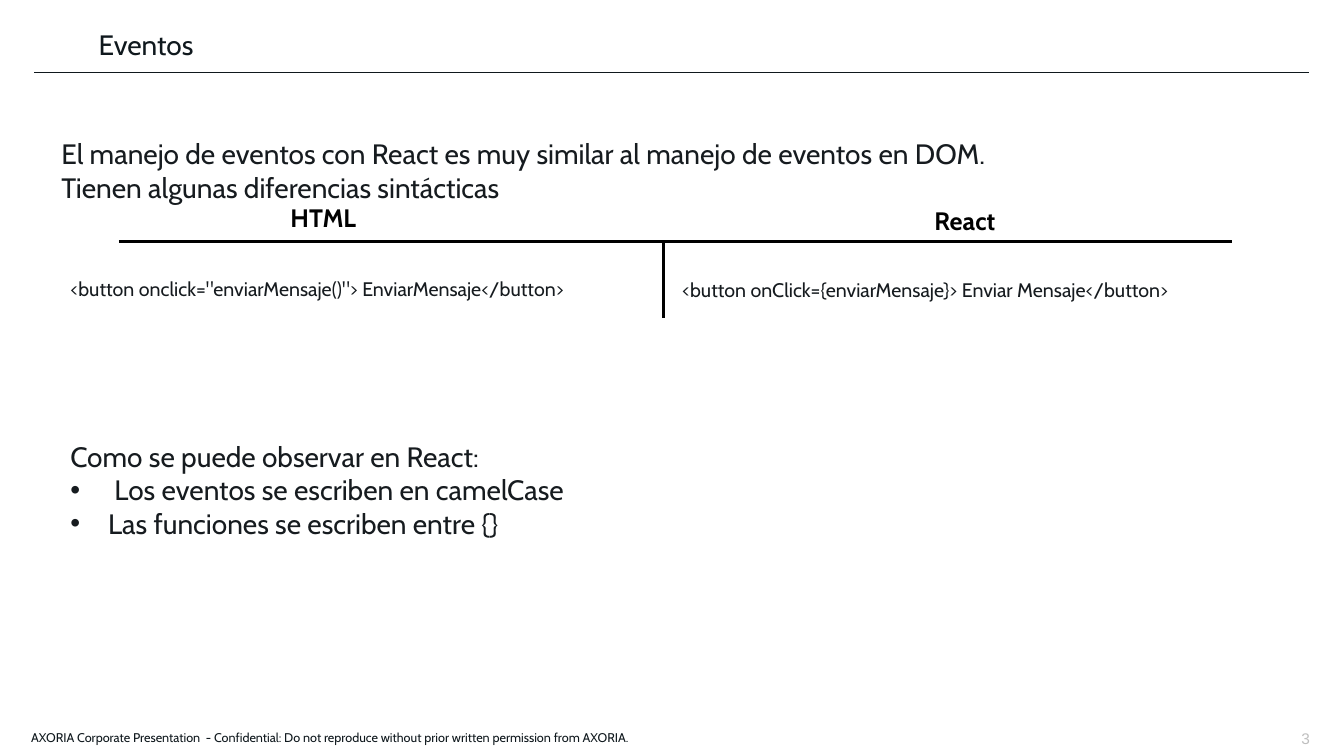
"""Build the slide on React events compared with HTML events."""
from pptx import Presentation
from pptx import util as u
from pptx.dml.color import RGBColor
from pptx.enum import shapes, text
from pptx.oxml.ns import qn
from lxml import etree

COLORS = {"navy": "0F181D", "ink": "161B1F", "black": "000000", "grey": "BFBFBF"}
MIDDLE = text.MSO_ANCHOR.MIDDLE
BODY = {"size": 20, "color": "ink"}
HEADING = {"size": 18, "color": "black", "bold": True, "inset": 4.5,
           "wrap": False, "anchor": MIDDLE}
CODE = {"size": 14, "color": "ink"}

deck = Presentation()
deck.slide_width, deck.slide_height = u.Pt(960), u.Pt(540)
page = deck.slides.add_slide(deck.slide_layouts[6])


def add_text(place, lines, size, color, font="Cabin", bold=False, inset=None,
             top=3.6, wrap=True, anchor=text.MSO_ANCHOR.TOP, align=None):
    """Add a text box; lines that start with a bullet become list items."""
    frame = page.shapes.add_textbox(*map(u.Pt, place)).text_frame
    side, vertical = (7.2, top) if inset is None else (inset, inset)
    layout = {"margin_left": u.Pt(side), "margin_right": u.Pt(side),
              "margin_top": u.Pt(vertical), "margin_bottom": u.Pt(min(vertical, 4.5)),
              "word_wrap": wrap, "vertical_anchor": anchor}
    for name, value in layout.items():
        setattr(frame, name, value)
    for index, line in enumerate(lines):
        para = frame.paragraphs[0] if index == 0 else frame.add_paragraph()
        para.alignment = align
        if line.startswith("•"):
            properties = para._p.get_or_add_pPr()
            properties.set("marL", str(u.Pt(27)))
            properties.set("indent", str(-u.Pt(27)))
            etree.SubElement(properties, qn("a:buFont"), typeface="Arial")
            etree.SubElement(properties, qn("a:buChar"), char="•")
        span = para.add_run()
        span.text = line.removeprefix("•")
        for name, value in {"name": font, "size": u.Pt(size), "bold": bold}.items():
            setattr(span.font, name, value)
        span.font.color.rgb = RGBColor.from_string(COLORS[color])


rules = [
    ((24.5, 51.8, 935.3, 51.8), "navy", 0.5),
    ((85, 172.4, 880, 172.4), "black", 2),
    ((474, 172.4, 474, 227), "black", 2),
]
for ends, color, width in rules:
    rule = page.shapes.add_connector(shapes.MSO_CONNECTOR.STRAIGHT, *map(u.Pt, ends))
    rule.line.color.rgb = RGBColor.from_string(COLORS[color])
    rule.line.width = u.Pt(width)
    etree.SubElement(rule._element.spPr, qn("a:effectLst"))

add_text((63.4, 15.8, 872, 34), ["Eventos"], size=20, color="navy")
add_text((36.7, 69.8, 776, 78.5),
         ["El manejo de eventos con React es muy similar al manejo de eventos en DOM.",
          "Tienen algunas diferencias sintácticas"], top=28, **BODY)

add_text((203, 140.4, 59, 30.2), ["HTML"], **HEADING)
add_text((663, 142.6, 54.7, 30.2), ["React"], **HEADING)
add_text((43.2, 194.4, 430.6, 24.5),
         ['<button onclick="enviarMensaje()"> EnviarMensaje</button>'], **CODE)
add_text((480.2, 195.1, 479.8, 24.5),
         ["<button onClick={enviarMensaje}> Enviar Mensaje</button>"], **CODE)

add_text((43.2, 285.8, 811.4, 78.5),
         ["Como se puede observar en React:",
          "• Los eventos se escriben en camelCase",
          "•Las funciones se escriben entre {}"], top=28, **BODY)

add_text((20.2, 519.1, 570.2, 15.1),
         ["AXORIA Corporate Presentation  - Confidential: "
          "Do not reproduce without prior written permission from AXORIA."],
         size=9, color="navy", inset=2, anchor=MIDDLE)
add_text((915.8, 517, 33.8, 18), ["3"], size=11, color="grey", font="Arial",
         align=text.PP_ALIGN.CENTER)

deck.save("out.pptx")
